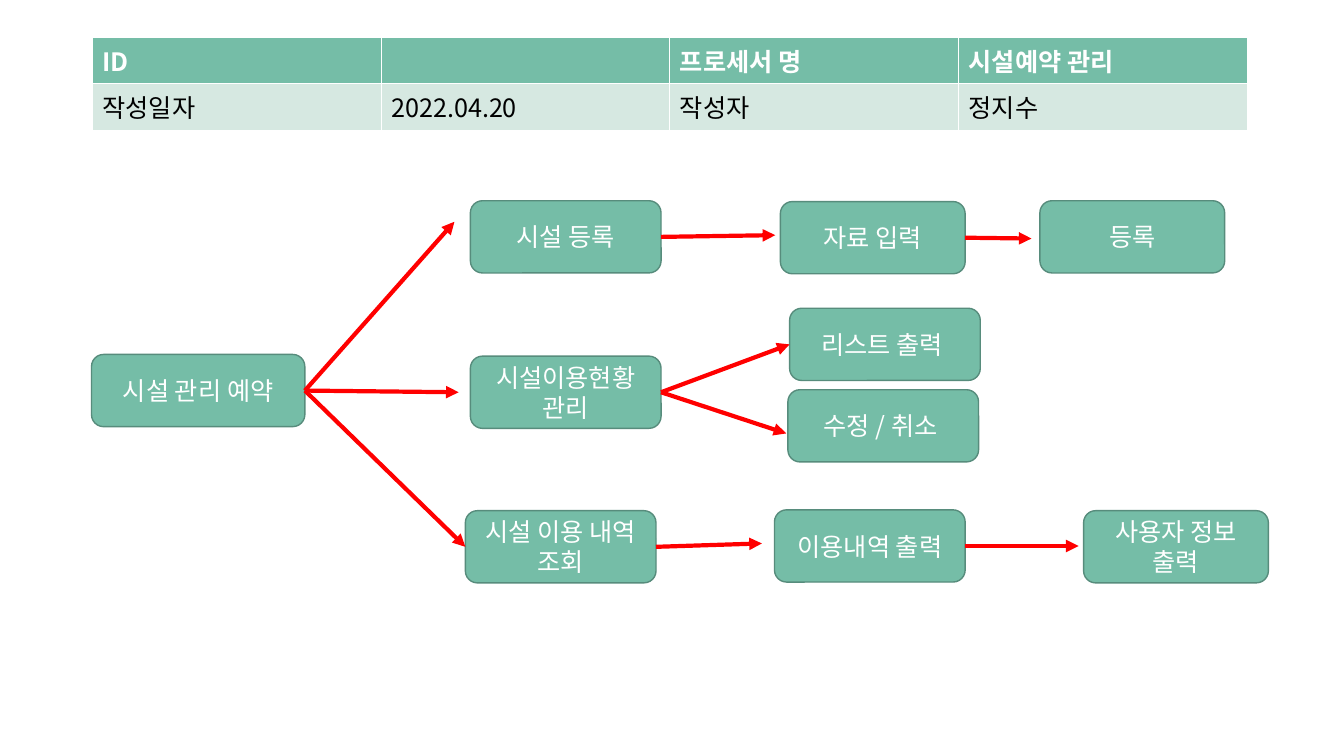
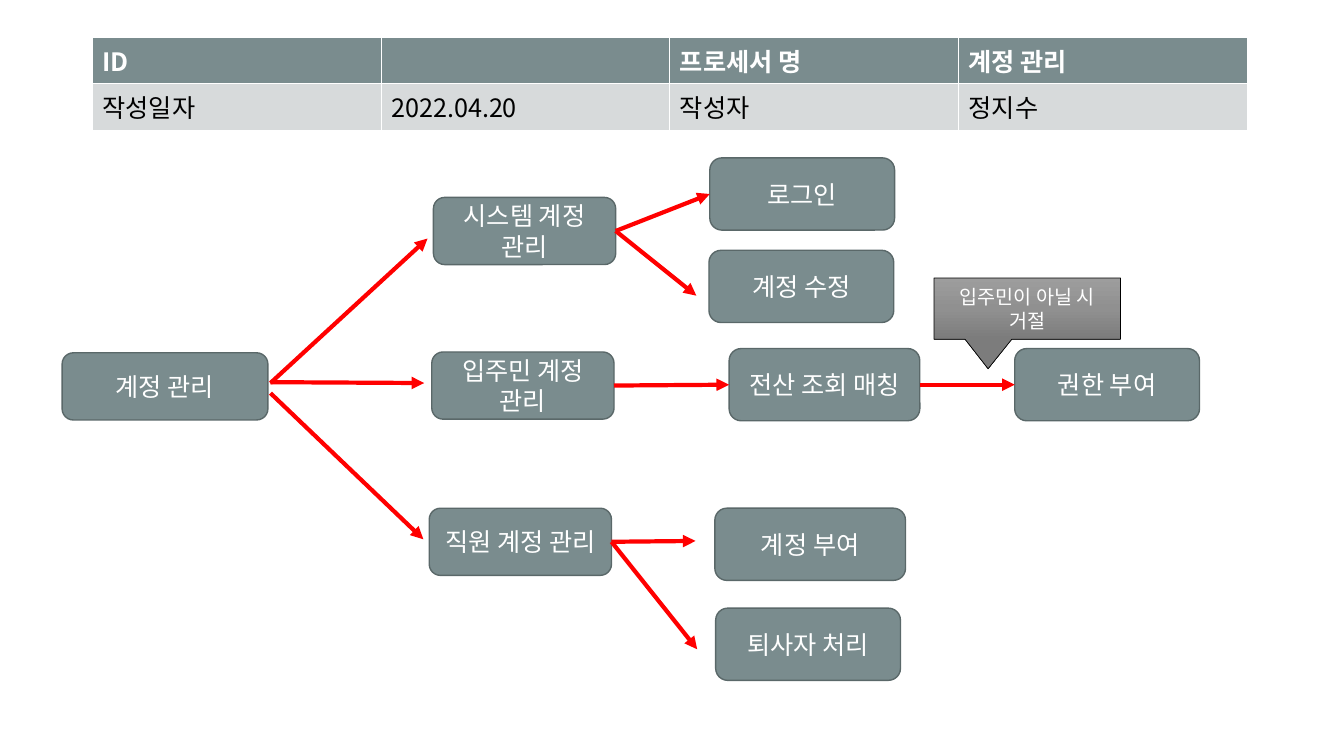
from copy import deepcopy
from dataclasses import dataclass
from typing import NamedTuple

from lxml.etree import SubElement
from pptx import Presentation
from pptx.dml.color import RGBColor
from pptx.enum.shapes import MSO_CONNECTOR, MSO_SHAPE
from pptx.enum.text import MSO_ANCHOR, PP_ALIGN
from pptx.oxml.ns import qn
from pptx.util import Emu, Pt

GRID_COLUMNS, GRID_ROWS = 160, 90
GRID_UNIT = 76200
FONT = "Noto Sans CJK KR"
WHITE, BLACK, ARROW_RED = "FFFFFF", "000000", "FF0000"
NOTE_SHADES = ("9D9D9D", "909090", "7C7C7C")
LEFT_SIDE, RIGHT_SIDE = 1, 3


class Size(NamedTuple):
    columns: float
    rows: float


class Point(NamedTuple):
    column: float
    row: float


class Theme(NamedTuple):
    main: str
    edge: str
    pale: str


class Step(NamedTuple):
    text: str
    column: float
    row: float
    size: Size


class Arrow(NamedTuple):
    source: str | Point
    target: str | Point


@dataclass(frozen=True)
class Process:
    title: str
    theme: Theme
    steps: tuple[Step, ...]
    arrows: tuple[Arrow, ...]
    notes: tuple[Step, ...] = ()


WIDE = Size(22.7, 8.6)
NARROW = Size(22, 8.6)
ACCOUNT = Size(21.7, 8)

FACILITY = Process(
    "시설예약 관리",
    Theme("75BDA7", "578C7C", "D6E8E1"),
    (
        Step("시설 관리 예약", 10.9, 42.2, Size(25.4, 8.6)),
        Step("시설 등록", 56, 23.9, WIDE),
        Step("자료 입력", 92.9, 24, NARROW),
        Step("등록", 123.8, 23.9, NARROW),
        Step("시설이용현황 관리", 56, 42.4, WIDE),
        Step("리스트 출력 ", 94, 36.7, WIDE),
        Step("수정 / 취소 ", 93.8, 46.4, WIDE),
        Step("시설 이용 내역 조회", 55.4, 60.8, WIDE),
        Step("이용내역 출력", 92.2, 60.7, WIDE),
        Step("사용자 정보 출력", 129, 60.8, NARROW),
    ),
    (
        Arrow("시설 관리 예약", Point(54.1, 26.4)),
        Arrow("시설 관리 예약", Point(54.6, 46.7)),
        Arrow("시설 관리 예약", "시설 이용 내역 조회"),
        Arrow("시설 등록", Point(92.3, 28)),
        Arrow("자료 입력", Point(122.8, 28.4)),
        Arrow("시설이용현황 관리", "리스트 출력 "),
        Arrow("시설이용현황 관리", Point(93.6, 51.6)),
        Arrow("시설 이용 내역 조회", Point(90.7, 64.7)),
        Arrow("이용내역 출력", Point(128.4, 65)),
    ),
)

ACCOUNTS = Process(
    "계정 관리",
    Theme("7A8C8E", "5A6869", "D7DADB"),
    (
        Step("계정 관리", 7.4, 42, Size(24.5, 8)),
        Step("시스템 계정 관리", 51.6, 23.5, ACCOUNT),
        Step("로그인", 84.5, 18.8, NARROW),
        Step("계정 수정", 84.4, 29.8, NARROW),
        Step("입주민 계정 관리", 51.4, 41.9, ACCOUNT),
        Step("전산 조회 매칭", 86.8, 41.5, WIDE),
        Step("권한 부여", 120.8, 41.5, NARROW),
        Step("직원 계정 관리", 51.1, 60.5, ACCOUNT),
        Step("계정 부여", 85.1, 60.5, WIDE),
        Step("퇴사자 처리", 85.2, 72.4, NARROW),
    ),
    (
        Arrow(Point(32.2, 45.6), Point(50.9, 28.4)),
        Arrow(Point(32.2, 45.5), Point(50.5, 45.6)),
        Arrow(Point(32.2, 46.8), Point(50.4, 64.2)),
        Arrow("시스템 계정 관리", "로그인"),
        Arrow("시스템 계정 관리", Point(82.9, 35.2)),
        Arrow("입주민 계정 관리", "전산 조회 매칭"),
        Arrow("전산 조회 매칭", "권한 부여"),
        Arrow("직원 계정 관리", Point(82.8, 64.4)),
        Arrow("직원 계정 관리", Point(83, 77.3)),
    ),
    (Step("입주민이 아닐 시 거절", 111.2, 33.1, Size(22.2, 7.3)),),
)


def grid(count: float) -> Emu:
    return Emu(round(count * GRID_UNIT))


def color(value: str) -> RGBColor:
    return RGBColor.from_string(value)


def write(frame, text: str, ink: str, size: int = 18, bold: bool = False) -> None:
    frame.text = text
    for run in frame.paragraphs[0].runs:
        run.font.name = FONT
        run.font.size = Pt(size)
        run.font.bold = bold
        run.font.color.rgb = color(ink)
        SubElement(run.font._element, qn("a:ea")).set("typeface", FONT)


def draw_header(slide, process: Process) -> None:
    rows = (
        (("ID", "", "프로세서 명", process.title), process.theme.main, WHITE, True),
        (("작성일자", "2022.04.20", "작성자", "정지수"), process.theme.pale, BLACK, False),
    )
    table = slide.shapes.add_table(
        2, 4, grid(11), grid(4.4), grid(137.5), grid(10)
    ).table
    for row, (texts, fill, ink, bold) in zip(table.rows, rows):
        for cell, text in zip(row.cells, texts):
            cell.fill.solid()
            cell.fill.fore_color.rgb = color(fill)
            write(cell.text_frame, text, ink, bold=bold)


def draw_block(slide, step: Step, kind: MSO_SHAPE, edge: str, weight: float, size: int):
    block = slide.shapes.add_shape(
        kind, grid(step.column), grid(step.row), *map(grid, step.size)
    )
    block.shadow.inherit = False
    block.line.color.rgb = color(edge)
    block.line.width = Pt(weight)
    frame = block.text_frame
    frame.word_wrap = True
    frame.vertical_anchor = MSO_ANCHOR.MIDDLE
    write(frame, step.text, WHITE, size)
    frame.paragraphs[0].alignment = PP_ALIGN.CENTER
    return block


def draw_step(slide, step: Step, theme: Theme):
    block = draw_block(slide, step, MSO_SHAPE.ROUNDED_RECTANGLE, theme.edge, 1, 18)
    block.fill.solid()
    block.fill.fore_color.rgb = color(theme.main)
    return block


def draw_note(slide, note: Step) -> None:
    callout = draw_block(slide, note, MSO_SHAPE.RECTANGULAR_CALLOUT, BLACK, 0.5, 14)
    callout.adjustments[0] = -0.21
    callout.adjustments[1] = 0.98
    callout.fill.gradient()
    callout.fill.gradient_angle = 270
    stops = callout._element.spPr.find(f".//{qn('a:gsLst')}")
    stops.insert(1, deepcopy(stops[0]))
    for stop, shade, position in zip(callout.fill.gradient_stops, NOTE_SHADES, (0, 0.5, 1)):
        stop.color.rgb = color(shade)
        stop.position = position


def draw_arrow(slide, arrow: Arrow, blocks: dict) -> None:
    start, end = (
        Point(0, 0) if isinstance(place, str) else place for place in arrow
    )
    connector = slide.shapes.add_connector(
        MSO_CONNECTOR.STRAIGHT, *map(grid, (*start, *end))
    )
    if isinstance(arrow.source, str):
        connector.begin_connect(blocks[arrow.source], RIGHT_SIDE)
    if isinstance(arrow.target, str):
        connector.end_connect(blocks[arrow.target], LEFT_SIDE)
    connector.line.color.rgb = color(ARROW_RED)
    connector.line.width = Pt(3)
    SubElement(connector.line._get_or_add_ln(), qn("a:tailEnd")).set("type", "triangle")
    SubElement(connector._element.spPr, qn("a:effectLst"))


def draw_process(presentation, process: Process) -> None:
    slide = presentation.slides.add_slide(presentation.slide_layouts[6])
    draw_header(slide, process)
    blocks = {step.text: draw_step(slide, step, process.theme) for step in process.steps}
    for arrow in process.arrows:
        draw_arrow(slide, arrow, blocks)
    for note in process.notes:
        draw_note(slide, note)


def main() -> None:
    presentation = Presentation()
    presentation.slide_width = grid(GRID_COLUMNS)
    presentation.slide_height = grid(GRID_ROWS)
    for process in (FACILITY, ACCOUNTS):
        draw_process(presentation, process)
    presentation.save("out.pptx")


if __name__ == "__main__":
    main()
